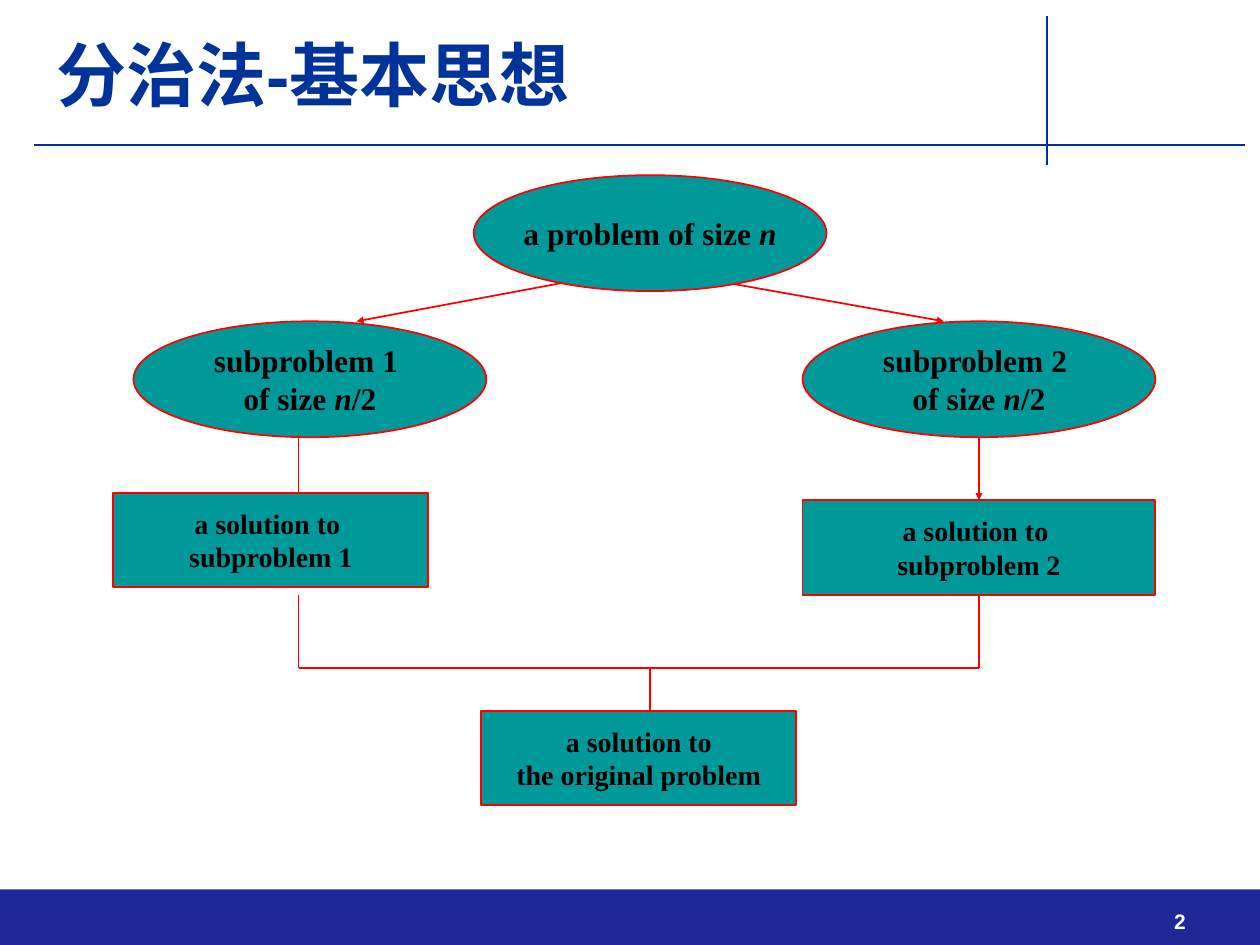
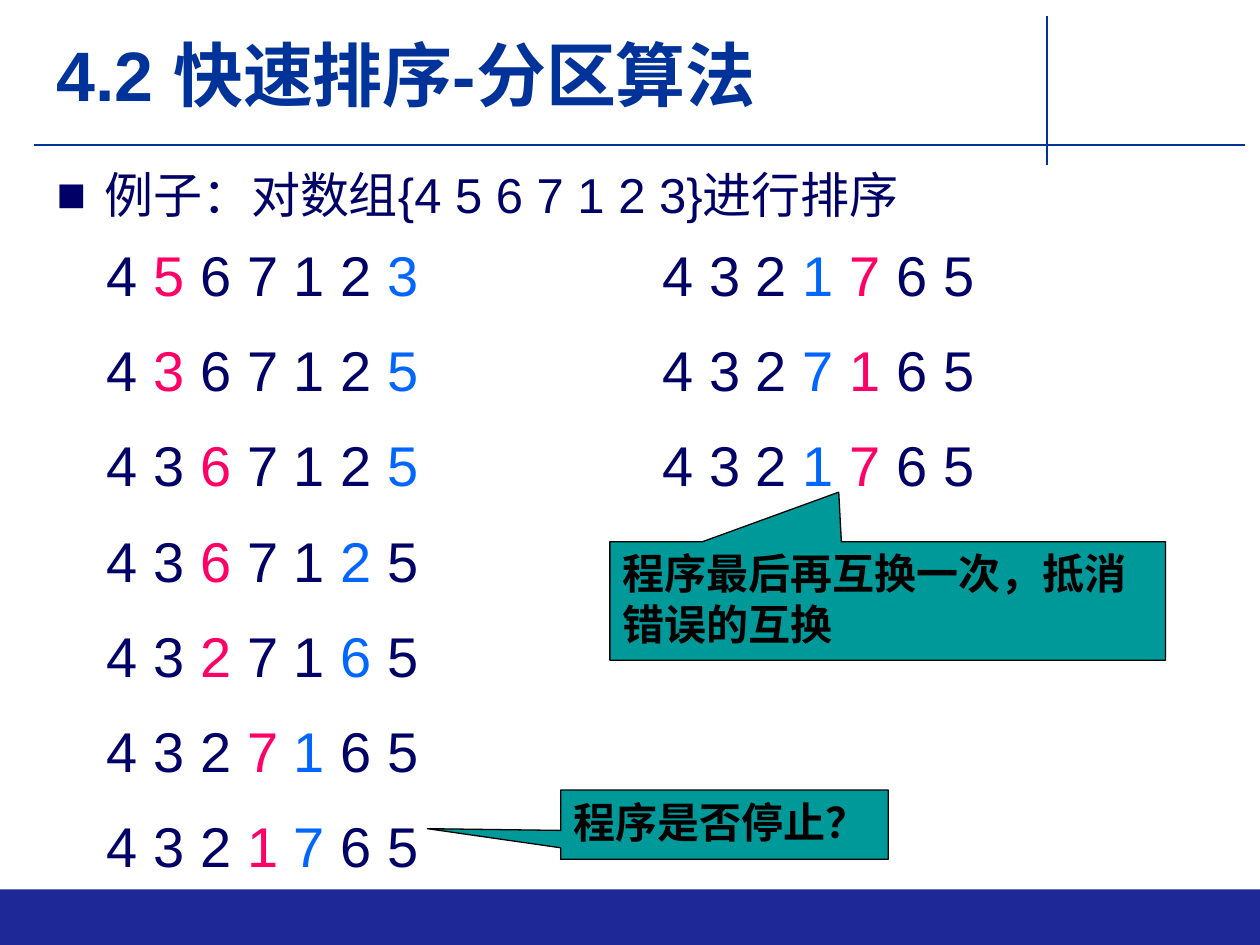
import pptx
import pptx.util
import pptx.dml.color
import pptx.enum.shapes
import pptx.enum.text
import pptx.oxml
import pptx.oxml.ns

RGBColor = pptx.dml.color.RGBColor
Inches = pptx.util.Inches
Pt = pptx.util.Pt
SHAPE = pptx.enum.shapes.MSO_SHAPE
ALIGN = pptx.enum.text.PP_ALIGN
ANCHOR = pptx.enum.text.MSO_ANCHOR

TITLE_BLUE = RGBColor(0x00, 0x33, 0x99)
BAND_BLUE = RGBColor(0x1E, 0x28, 0x96)
NAVY = RGBColor(0x00, 0x00, 0x66)
TEAL = RGBColor(0x00, 0x99, 0x99)
RED = RGBColor(0xFF, 0x00, 0x00)
PINK = RGBColor(0xFF, 0x00, 0x66)
SKY = RGBColor(0x00, 0x66, 0xFF)
WHITE = RGBColor(0xFF, 0xFF, 0xFF)
BLACK = RGBColor(0x00, 0x00, 0x00)

TITLES = ["分治法-基本思想", "4.2 快速排序-分区算法"]
EXAMPLE = "例子：对数组{4 5 6 7 1 2 3}进行排序"

LEFT_X, MIDDLE_X, RIGHT_X = 2.37, 5.16, 7.77
JOIN_Y = 5.3
PROBLEMS = [
    (3.76, 1.39, ["a problem of size *n*"]),
    (1.06, 2.55, ["subproblem 1 ", "of size *n*/2"]),
    (6.37, 2.55, ["subproblem 2 ", "of size *n*/2"]),
]
SOLUTIONS = [
    (0.9, 3.91, 2.5, ["a solution to ", "subproblem 1"]),
    (6.37, 3.97, 2.8, ["a solution to ", "subproblem 2"]),
    (3.82, 5.64, 2.5, ["a solution to", "the original problem"]),
]
ARROWS = [
    (4.6, 2.22, 2.83, 2.55),
    (5.63, 2.22, 7.49, 2.55),
    (LEFT_X, 3.47, LEFT_X, 3.97),
    (RIGHT_X, 3.47, RIGHT_X, 3.97),
    (MIDDLE_X, JOIN_Y, MIDDLE_X, 5.89),
]
JOINS = [
    (LEFT_X, 4.72, LEFT_X, JOIN_Y),
    (RIGHT_X, 4.72, RIGHT_X, JOIN_Y),
    (LEFT_X, JOIN_Y, RIGHT_X, JOIN_Y),
]

SORT_STEPS = [
    dict(left=0.75, height=5.04, rows=[
        dict(digits="4567123", pink=1, blue=6),
        dict(digits="4367125", pink=1, blue=6),
        dict(digits="4367125", pink=2, blue=6),
        dict(digits="4367125", pink=2, blue=5),
        dict(digits="4327165", pink=2, blue=5),
        dict(digits="4327165", pink=3, blue=4),
        dict(digits="4321765", pink=3, blue=4),
    ]),
    dict(left=5.16, height=2.44, rows=[
        dict(digits="4321765", pink=4, blue=3),
        dict(digits="4327165", pink=4, blue=3),
        dict(digits="4321765", pink=4, blue=3),
    ]),
]
CALLOUTS = [
    ((4.84, 4.3, 4.41, 0.94), (-0.088, -0.919), "程序最后再互换一次，抵消错误的互换"),
    ((4.45, 6.27, 2.6, 0.55), (-0.907, 0.058), "程序是否停止？"),
]


def write(sp, paragraphs, size, color=BLACK, font="Arial", bold=False, align=ALIGN.LEFT,
          anchor=ANCHOR.TOP, wrap=True, gap=0, spacing=None, bullet=None):
    tf = sp.text_frame
    tf.word_wrap = wrap
    tf.vertical_anchor = anchor
    for i, runs in enumerate(paragraphs):
        p = tf.paragraphs[0] if i == 0 else tf.add_paragraph()
        if bullet:
            add_bullet(p, bullet, color)
        p.alignment = align
        p.space_before = Pt(gap if i else 0)
        p.space_after = Pt(gap)
        if spacing:
            p.line_spacing = spacing
        if isinstance(runs, str):
            runs = [(part, color, k % 2 == 1) for k, part in enumerate(runs.split("*"))]
        for text, run_color, italic in runs:
            if not text:
                continue
            r = p.add_run()
            r.text = text
            r.font.name = font
            r.font.size = Pt(size)
            r.font.bold = bold
            r.font.italic = italic
            r.font.color.rgb = run_color


def add_bullet(p, char, color):
    ns = pptx.oxml.ns.nsdecls("a")
    pPr = p._p.get_or_add_pPr()
    pPr.set("marL", str(Inches(0.38)))
    pPr.set("indent", str(-Inches(0.38)))
    for xml in (f'<a:buClr {ns}><a:srgbClr val="{color}"/></a:buClr>',
                f'<a:buFont {ns} typeface="Arial"/>',
                f'<a:buChar {ns} char="{char}"/>'):
        pPr.append(pptx.oxml.parse_xml(xml))


def add_box(s, kind, at, fill, line=None, width=1):
    sp = s.shapes.add_shape(kind, *map(Inches, at))
    sp.shadow.inherit = False
    sp.fill.solid()
    sp.fill.fore_color.rgb = fill
    if line is None:
        sp.line.fill.background()
    else:
        sp.line.color.rgb = line
        sp.line.width = Pt(width)
    return sp


def add_text(s, at, paragraphs, **style):
    write(s.shapes.add_textbox(*map(Inches, at)), paragraphs, **style)


def add_line(s, ends, color, width=1, arrow=False):
    line = s.shapes.add_connector(pptx.enum.shapes.MSO_CONNECTOR.STRAIGHT, *map(Inches, ends))
    line.line.color.rgb = color
    line.line.width = Pt(width)
    ns = pptx.oxml.ns.nsdecls("a")
    spPr = line._element.spPr
    if arrow:
        spPr.find(pptx.oxml.ns.qn("a:ln")).append(
            pptx.oxml.parse_xml(f'<a:tailEnd {ns} type="triangle" w="sm" len="sm"/>'))
    spPr.append(pptx.oxml.parse_xml(f"<a:effectLst {ns}/>"))


def add_slide(prs, title):
    s = prs.slides.add_slide(prs.slide_layouts[6])
    add_box(s, SHAPE.RECTANGLE, (0, 7.06, 10, 0.44), BAND_BLUE)
    add_line(s, (0.27, 1.15, 9.88, 1.15), TITLE_BLUE, 1.5)
    add_line(s, (8.31, 0.13, 8.31, 1.31), TITLE_BLUE, 1.5)
    add_text(s, (0.35, 0.19, 7.79, 0.79), [title], size=40, color=TITLE_BLUE,
             bold=True, anchor=ANCHOR.MIDDLE)
    return s


def build_divide_and_conquer(prs):
    s = add_slide(prs, TITLES[0])
    add_text(s, (8.94, 7.15, 0.57, 0.32), ["2"], size=12, color=WHITE, bold=True,
             align=ALIGN.RIGHT, anchor=ANCHOR.MIDDLE)
    for ends in ARROWS:
        add_line(s, ends, RED, arrow=True)
    for ends in JOINS:
        add_line(s, ends, RED)
    node = dict(font="Times New Roman", bold=True, align=ALIGN.CENTER,
                anchor=ANCHOR.MIDDLE, wrap=False)
    for x, y, lines in PROBLEMS:
        write(add_box(s, SHAPE.OVAL, (x, y, 2.8, 0.92), TEAL, RED), lines, size=18, **node)
    for x, y, w, lines in SOLUTIONS:
        write(add_box(s, SHAPE.RECTANGLE, (x, y, w, 0.75), TEAL, RED), lines, size=16, **node)


def digit_runs(digits, pink, blue):
    colors = {pink: PINK, blue: SKY}
    last = len(digits) - 1
    return [(d if i == last else d + " ", colors.get(i, NAVY), False)
            for i, d in enumerate(digits)]


def build_partition(prs):
    s = add_slide(prs, TITLES[1])
    add_text(s, (0.35, 1.31, 9.45, 0.63), [EXAMPLE], size=28, color=NAVY,
             spacing=0.9, bullet="■")
    for column in SORT_STEPS:
        add_text(s, (column["left"], 1.86, 3.31, column["height"]),
                 [digit_runs(**row) for row in column["rows"]], size=32, gap=8)
    for at, tip, text in CALLOUTS:
        sp = add_box(s, SHAPE.RECTANGULAR_CALLOUT, at, TEAL, BLACK, 0.75)
        sp.adjustments[0], sp.adjustments[1] = tip
        write(sp, [text], size=24, bold=True)


def main():
    prs = pptx.Presentation()
    prs.slide_width, prs.slide_height = Inches(10), Inches(7.5)
    build_divide_and_conquer(prs)
    build_partition(prs)
    prs.save("out.pptx")


if __name__ == "__main__":
    main()
